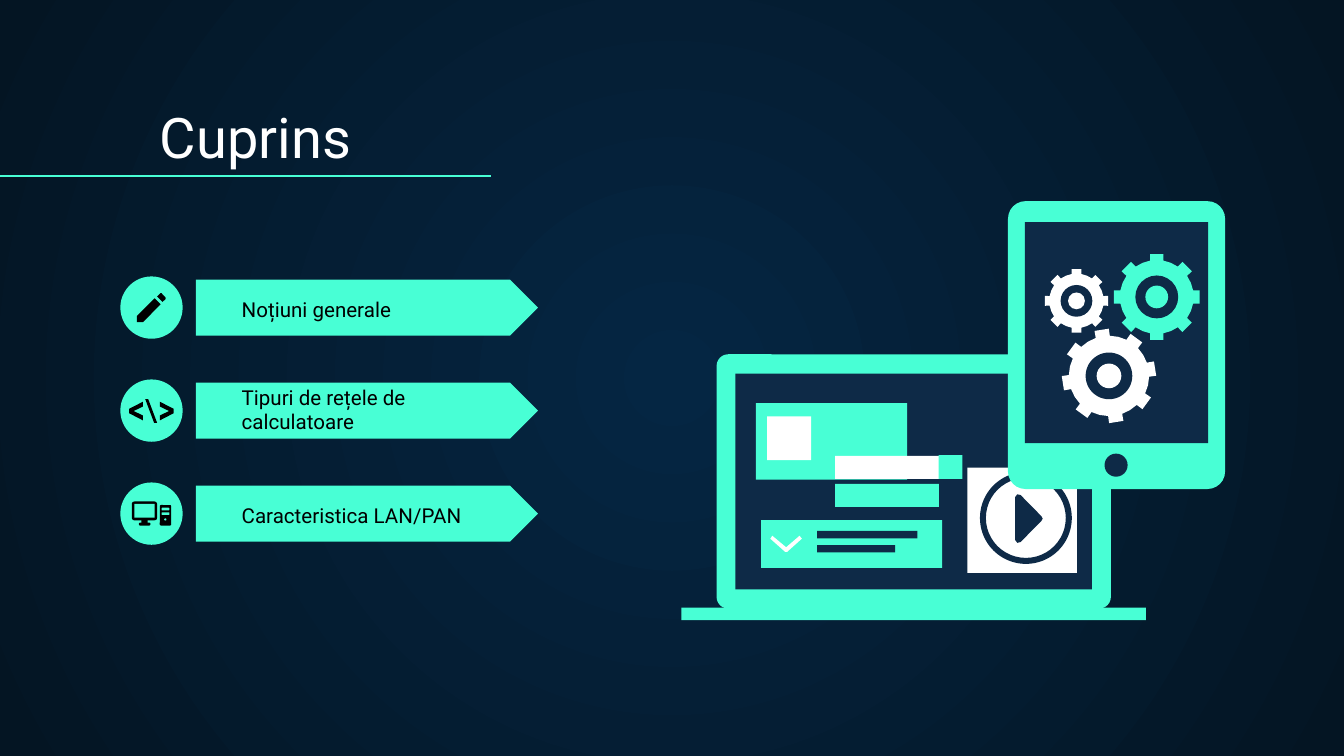
from dataclasses import dataclass
from math import atan2, cos, hypot, pi, radians, sin

from lxml import etree
from pptx import Presentation
from pptx.dml.color import RGBColor
from pptx.enum import shapes, text
from pptx.oxml.ns import qn
from pptx.util import Pt

SHAPE = shapes.MSO_SHAPE


@dataclass(frozen=True)
class Theme:
    mint: str = "48FFD5"
    navy: str = "0E2A47"
    white: str = "FFFFFF"
    black: str = "000000"
    glow: str = "052643"
    night: str = "041523"
    font: str = "Roboto"
    title_size: float = 30
    label_size: float = 11
    inset: float = 7.2


class Deck:
    """Holds the theme and the current slide; all lengths are points."""

    def __init__(self, theme, width, height):
        self.theme = theme
        self.prs = Presentation()
        self.prs.slide_width, self.prs.slide_height = Pt(width), Pt(height)
        self.s = None

    def add_slide(self):
        self.s = self.prs.slides.add_slide(self.prs.slide_layouts[5])

    def radial_background(self, inner, outer):
        fill = self.s.background.fill
        fill.gradient()
        for stop, color in zip(fill.gradient_stops, (inner, outer)):
            stop.color.rgb = RGBColor.from_string(color)
        lin = next(self.s.element.iter(qn("a:lin")))
        radial = etree.Element(qn("a:path"), {"path": "circle"})
        etree.SubElement(radial, qn("a:fillToRect"), {k: "50000" for k in "ltrb"})
        lin.getparent().replace(lin, radial)

    def set_text(self, sp, content, *, size, color):
        tf = sp.text_frame
        tf.word_wrap = True
        tf.auto_size = text.MSO_AUTO_SIZE.NONE
        tf.vertical_anchor = text.MSO_ANCHOR.BOTTOM
        tf.margin_left = tf.margin_right = Pt(self.theme.inset)
        tf.margin_top = tf.margin_bottom = Pt(self.theme.inset)
        p = tf.paragraphs[0]
        p.alignment = text.PP_ALIGN.LEFT
        r = p.add_run()
        r.text = content
        r.font.name, r.font.size = self.theme.font, Pt(size)
        r.font.color.rgb = RGBColor.from_string(color)

    def title(self, content, x, y, w, h):
        sp = self.s.shapes.title
        sp.left, sp.top, sp.width, sp.height = map(Pt, (x, y, w, h))
        self.set_text(sp, content, size=self.theme.title_size, color=self.theme.white)

    def label(self, content, x, y, w, h):
        sp = self.s.shapes.add_textbox(*map(Pt, (x, y, w, h)))
        self.set_text(sp, content, size=self.theme.label_size, color=self.theme.black)

    def paint(self, sp, color):
        sp.shadow.inherit = False
        sp.fill.solid()
        sp.fill.fore_color.rgb = RGBColor.from_string(color)
        sp.line.fill.background()
        return sp

    def shape(self, kind, x, y, w, h, color, adj=None):
        sp = self.s.shapes.add_shape(kind, *map(Pt, (x, y, w, h)))
        if adj is not None:
            sp.adjustments[0] = adj
        return self.paint(sp, color)

    def rect(self, x, y, w, h, color):
        return self.shape(SHAPE.RECTANGLE, x, y, w, h, color)

    def round_rect(self, x, y, w, h, color, radius):
        return self.shape(SHAPE.ROUNDED_RECTANGLE, x, y, w, h, color, radius / min(w, h))

    def disc(self, cx, cy, radius, color):
        return self.shape(SHAPE.OVAL, cx - radius, cy - radius, 2 * radius, 2 * radius, color)

    def polygon(self, color, *contours):
        emu = [[(Pt(x), Pt(y)) for x, y in contour] for contour in contours]
        fb = self.s.shapes.build_freeform(*emu[0][0])
        fb.add_line_segments(emu[0][1:])
        for contour in emu[1:]:
            fb.move_to(*contour[0])
            fb.add_line_segments(contour[1:])
        return self.paint(fb.convert_to_shape(), color)

    def line(self, x1, y1, x2, y2, color, width):
        cn = self.s.shapes.add_connector(shapes.MSO_CONNECTOR.STRAIGHT, *map(Pt, (x1, y1, x2, y2)))
        cn.line.color.rgb = RGBColor.from_string(color)
        cn.line.width = Pt(width)
        etree.SubElement(cn.element.spPr, qn("a:effectLst"))

    def gear(self, cx, cy, radius, color, turn=0, teeth=8):
        """Toothed wheel with a ring-shaped gap round its hub."""
        half, body = 0.155 * radius, 0.86 * radius
        tip, root = atan2(half, radius), atan2(half, body)
        pitch = 2 * pi / teeth
        profile = [(-root, body), (-tip, hypot(radius, half)), (tip, hypot(radius, half)),
                   (root, body), (pitch / 2, body)]
        points = [(cx + d * cos(a + i * pitch + radians(turn)),
                   cy + d * sin(a + i * pitch + radians(turn)))
                  for i in range(teeth) for a, d in profile]
        self.polygon(color, points)
        self.disc(cx, cy, 0.5 * radius, self.theme.navy)
        self.disc(cx, cy, 0.265 * radius, color)


def pencil_icon(d, color):
    d.polygon(color,
              [(86, 157), (84.2, 158.8), (87.1, 161.7), (88.7, 160.3), (88.7, 159.4), (86.5, 157)],
              [(82.9, 159.8), (73.4, 169.2), (73.4, 172.5), (76.7, 172.5), (86.1, 163)])


def code_icon(d, color, cx=81.1, cy=220.2):
    bracket = [(4.5, -5), (11.9, -1.2), (11.9, 1.2), (4.5, 5), (4.5, 2.4), (9.5, 0), (4.5, -2.4)]
    for side in (-1, 1):
        d.polygon(color, [(cx + side * x, cy + y) for x, y in bracket])
    d.polygon(color, [(77.8, 213.8), (79.4, 213.8), (84.2, 226.6), (82.6, 226.6)])


def computer_icon(d, color, back):
    d.round_rect(70.6, 268.7, 13.6, 10.1, color, 1.4)
    d.rect(72, 270, 10.8, 7.4, back)
    d.rect(75.8, 278.6, 3.4, 2, color)
    d.round_rect(74.4, 280, 6.2, 1.6, color, 0.7)
    d.round_rect(85.6, 270.6, 6.1, 11, color, 0.7)
    for y in (272, 274.5):
        d.round_rect(86.6, y, 4.2, 1.4, back, 0.4)
    d.disc(88.6, 278.3, 0.6, back)


def agenda(d):
    t = d.theme
    rows = [("Noțiuni generale", 0), ("Tipuri de rețele de calculatoare", 5),
            ("Caracteristica LAN/PAN", 0)]
    for i, (content, shift) in enumerate(rows):
        cy = 164.8 + 55.2 * i
        d.shape(SHAPE.PENTAGON, 105, cy - 15, 183.2, 30, t.mint, 0.5)
        d.disc(81.2, cy, 16.7, t.mint)
        d.label(content, 122.4, cy - 0.4 + shift, 163.4, 15.1)
    pencil_icon(d, t.black)
    code_icon(d, t.black)
    computer_icon(d, t.black, t.mint)


def laptop(d):
    t = d.theme
    d.round_rect(383.9, 189.8, 211.2, 136.2, t.mint, 6.2)
    d.rect(394, 200.2, 191, 115.6, t.navy)
    d.rect(365, 325.6, 249, 6.6, t.mint)
    d.rect(405, 216, 81, 41, t.mint)
    d.rect(411, 223, 23.5, 23.5, t.white)
    d.rect(407.8, 278.6, 97, 25.7, t.mint)
    for y, w in ((284.4, 53.6), (292, 41.8)):
        d.rect(437.8, y, w, 4, t.navy)
    d.polygon(t.white, [(413.8, 287), (421.2, 293.2), (428.4, 287), (429.6, 288.6),
                        (421.8, 295.6), (420.6, 295.6), (412.7, 288.6)])
    d.rect(447.4, 259.2, 55.6, 12.4, t.mint)
    d.rect(447.4, 244.2, 55.6, 12.4, t.white)
    d.rect(502.8, 243.8, 12.8, 12.8, t.mint)
    d.rect(518.2, 250.6, 58.8, 56.3, t.white)
    d.shape(SHAPE.DONUT, 525, 252.9, 49.2, 49.2, t.navy, 0.065)
    d.polygon(t.navy, [(543.8, 266.4), (545, 264.8), (546.8, 265.2), (558, 276.6), (558.6, 277.8),
                       (558, 279), (546.8, 290.4), (545, 290.8), (543.8, 289.2)])


def tablet(d):
    t = d.theme
    d.round_rect(540, 107.8, 116.3, 154.2, t.mint, 9.4)
    d.rect(549.1, 119, 98.1, 118.4, t.navy)
    d.disc(597.9, 249.2, 6.2, t.navy)
    d.gear(619.7, 159.1, 23, t.mint)
    d.gear(576.7, 161.2, 17, t.white)
    d.gear(594.1, 201.4, 25, t.white, turn=-9)


def main():
    theme = Theme()
    d = Deck(theme, 720, 405)
    d.add_slide()
    d.radial_background(theme.glow, theme.night)
    d.title("Cuprins", 78.5, 50.4, 617, 47.5)
    d.line(0, 94.3, 263, 94.3, theme.mint, 0.75)
    agenda(d)
    laptop(d)
    tablet(d)
    d.prs.save("out.pptx")


if __name__ == "__main__":
    main()
